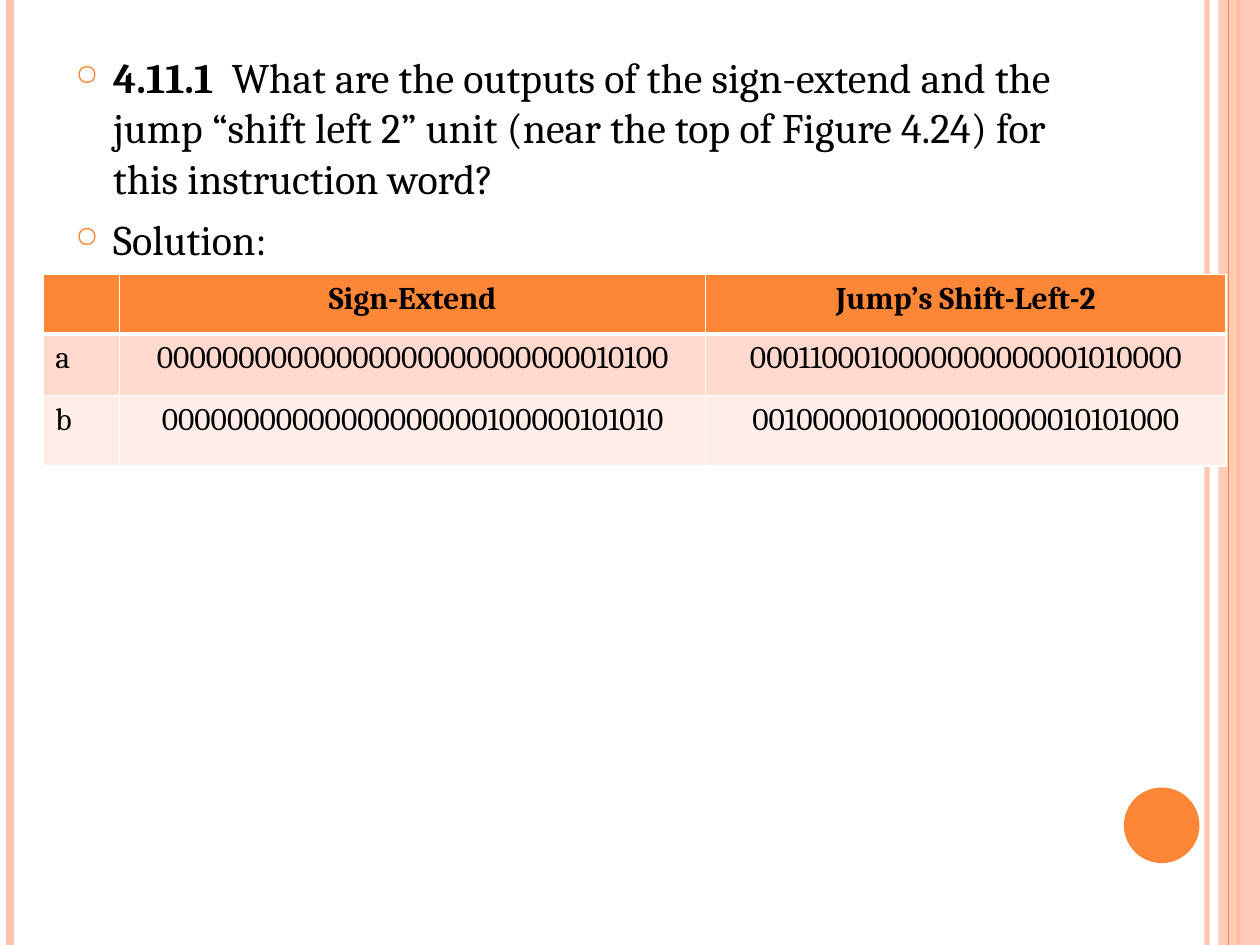
from lxml import etree
from pptx import Presentation, util as u
from pptx.dml.color import RGBColor
from pptx.enum import shapes, text
from pptx.oxml.ns import qn

COLORS = {"orange": "FE8637", "peach": "FEC3AE", "row_a": "FFD9CE",
          "row_b": "FFEDE8", "white": "FFFFFF", "black": "000000"}
WIDTH, HEIGHT = 10, 7.5


def rgb(name):
    return RGBColor.from_string(COLORS[name])


def sub(parent, tag, **attrs):
    return etree.SubElement(parent, qn(tag), attrs)


class Deck:
    """Holds the style and the current slide; lengths are shares of the slide."""
    font = "Cambria"

    def __init__(self):
        self.prs = Presentation()
        self.prs.slide_width, self.prs.slide_height = u.Inches(WIDTH), u.Inches(HEIGHT)
        self.s = self.prs.slides.add_slide(self.prs.slide_layouts[6])

    def x(self, share):
        return int(self.prs.slide_width * share)

    def y(self, share):
        return int(self.prs.slide_height * share)

    def box(self, left, top, width, height):
        return self.x(left), self.y(top), self.x(width), self.y(height)

    def alpha(self, fill, percent):
        if percent < 100:
            color = fill.find(".//" + qn("a:srgbClr"))
            sub(color, "a:alpha", val=str(percent * 1000))

    def vline(self, at, color, width, opacity=100):
        c = self.s.shapes.add_connector(shapes.MSO_CONNECTOR.STRAIGHT,
                                        self.x(at), 0, self.x(at), self.y(1))
        c.line.color.rgb, c.line.width = rgb(color), u.Pt(width)
        self.alpha(c.line._ln, opacity)
        sub(c._element.spPr, "a:effectLst")

    def shape(self, kind, area, color, opacity=100):
        sp = self.s.shapes.add_shape(kind, *self.box(*area))
        sp.shadow.inherit = False
        sp.fill.solid()
        sp.fill.fore_color.rgb = rgb(color)
        self.alpha(sp._element.spPr.find(qn("a:solidFill")), opacity)
        sp.line.fill.background()

    def run(self, p, words, size, bold=False):
        r = p.add_run()
        r.text = words
        r.font.name, r.font.size, r.font.bold = self.font, u.Pt(size), bold
        r.font.color.rgb = rgb("black")

    def bullets(self, area, items, size):
        tf = self.s.shapes.add_textbox(*self.box(*area)).text_frame
        tf.word_wrap = True
        for i, runs in enumerate(items):
            p = tf.paragraphs[0] if i == 0 else tf.add_paragraph()
            pPr = p._p.get_or_add_pPr()
            indent = u.Inches(0.3)
            pPr.set("marL", str(indent))
            pPr.set("indent", str(-indent))
            sub(sub(pPr, "a:buClr"), "a:srgbClr", val=COLORS["orange"])
            sub(pPr, "a:buSzPct", val="70000")
            sub(pPr, "a:buChar", char="○")
            if i:
                p.space_before = u.Pt(6)
            for words, bold in runs:
                self.run(p, words, size, bold)

    def border(self, cell, side, width):
        ln = sub(cell._tc.get_or_add_tcPr(), "a:ln" + side, w=str(u.Pt(width)))
        sub(sub(ln, "a:solidFill"), "a:srgbClr", val=COLORS["white"])

    def table(self, area, rows, cols, heights, fills, size):
        t = self.s.shapes.add_table(len(rows), len(cols), *self.box(*area)).table
        for col, share in zip(t.columns, cols):
            col.width = self.x(share)
        for i, (row, height, fill) in enumerate(zip(rows, heights, fills)):
            t.rows[i].height = self.y(height)
            # Thick rule between the header and the body
            edges = {"L": 1, "R": 1, "T": 3 if i == 1 else 1, "B": 3 if i == 0 else 1}
            for j, words in enumerate(row):
                cell = t.cell(i, j)
                for side, width in edges.items():
                    self.border(cell, side, width)
                cell.fill.solid()
                cell.fill.fore_color.rgb = rgb(fill)
                p = cell.text_frame.paragraphs[0]
                if j:
                    p.alignment = text.PP_ALIGN.CENTER
                if words:
                    self.run(p, words, size, bold=i == 0)


def main():
    d = Deck()

    # Side stripes and corner disc
    d.vline(9.58 / WIDTH, "peach", 3, 93)
    d.vline(0.08 / WIDTH, "peach", 4.5)
    d.vline(9.83 / WIDTH, "orange", 1.5)
    d.shape(shapes.MSO_SHAPE.RECTANGLE, (9.67 / WIDTH, 0, 0.33 / WIDTH, 1), "peach", 87)
    d.vline(9.75 / WIDTH, "orange", 0.75)
    d.shape(shapes.MSO_SHAPE.OVAL,
            (8.92 / WIDTH, 6.25 / HEIGHT, 0.6 / WIDTH, 0.6 / HEIGHT), "orange")

    # Question
    d.bullets((0.5 / WIDTH, 0.36 / HEIGHT, 8.17 / WIDTH, 4.49 / HEIGHT), [
        [("4.11.1", True),
         ("  What are the outputs of the sign-extend and the jump “shift left 2” unit "
          "(near the top of Figure 4.24) for this instruction word?", False)],
        [("Solution:", False)],
    ], size=24)

    # Answers
    d.table((0.34 / WIDTH, 2.18 / HEIGHT, 9.38 / WIDTH, 1.52 / HEIGHT), [
        ["", "Sign-Extend", "Jump’s Shift-Left-2"],
        ["a", "00000000000000000000000000010100", "0001100010000000000001010000"],
        ["b", "00000000000000000000100000101010", "0010000010000010000010101000"],
    ], cols=[w / WIDTH for w in (0.61, 4.65, 4.13)],
        heights=[h / HEIGHT for h in (0.47, 0.49, 0.56)],
        fills=["orange", "row_a", "row_b"], size=18)

    d.prs.save("out.pptx")


if __name__ == "__main__":
    main()
